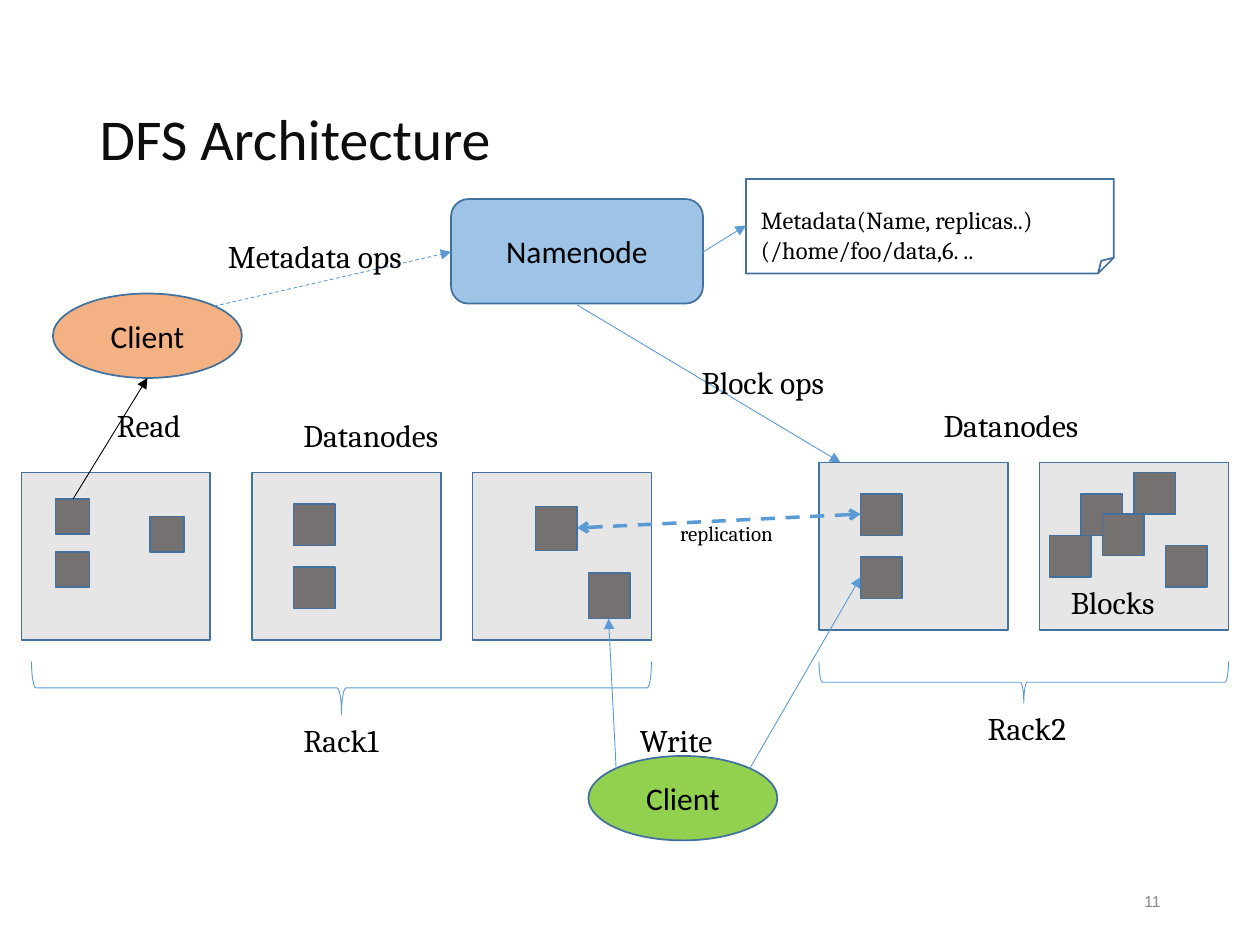
import pptx
import pptx.dml.color
import pptx.enum.dml
import pptx.enum.shapes
import pptx.enum.text
import pptx.oxml
import pptx.oxml.ns
import pptx.util
from pptx.util import Inches

SHAPE = pptx.enum.shapes.MSO_SHAPE
ALIGN = pptx.enum.text.PP_ALIGN
ANCHOR = pptx.enum.text.MSO_ANCHOR
DASH = pptx.enum.dml.MSO_LINE.DASH
OUTLINE, BLUE, BLACK = "41719C", "5B9BD5", "000000"
NODE_FILL, BLOCK_FILL = "E7E6E6", "767171"

# Datanodes: left, top, width, then blocks as left, top, width, height
RACK1 = [
    (0.17, 3.75, 1.5, [(0.44, 3.96, 0.27, 0.28), (0.44, 4.38, 0.27, 0.28),
                       (1.19, 4.1, 0.27, 0.28)]),
    (2, 3.75, 1.5, [(2.33, 4, 0.33, 0.33), (2.33, 4.5, 0.33, 0.33)]),
    (3.75, 3.75, 1.42, [(4.25, 4.02, 0.33, 0.35), (4.67, 4.55, 0.33, 0.36)]),
]
RACK2 = [
    (6.5, 3.67, 1.5, [(6.83, 3.92, 0.33, 0.33), (6.83, 4.42, 0.33, 0.33)]),
    (8.25, 3.67, 1.5, [(x, y, 0.33, 0.33) for x, y in (
        (8.58, 3.92), (8.33, 4.25), (8.75, 4.08), (9.25, 4.33), (9, 3.75))]),
]
# Labels: text, left, top, width
LABELS = [
    ("Rack1", 2.31, 5.67, 0.91), ("Rack2", 7.74, 5.58, 0.91),
    ("Blocks", 8.4, 4.58, 0.96), ("Datanodes", 2.31, 3.25, 1.45),
    ("Datanodes", 7.39, 3.17, 1.45), ("Write", 4.98, 5.67, 0.88),
    ("Read", 0.83, 3.17, 0.79), ("Metadata ops", 1.71, 1.83, 1.79),
    ("Block ops", 5.47, 2.83, 1.33),
]


def rgb(value):
    return pptx.dml.color.RGBColor.from_string(value)


def write(tf, text, size=18, font="Cambria", color=BLACK, align=ALIGN.LEFT,
          anchor=ANCHOR.TOP, wrap=True, spacing=None):
    tf.word_wrap = wrap
    tf.vertical_anchor = anchor
    for i, line in enumerate(text.split("\n")):
        p = tf.add_paragraph() if i else tf.paragraphs[0]
        p.alignment = align
        if spacing:
            p.line_spacing = spacing
        r = p.add_run()
        r.text = line
        r.font.size = pptx.util.Pt(size)
        r.font.name = font
        r.font.color.rgb = rgb(color)


def add_label(s, text, x, y, w, h=0.4, size=18):
    tf = s.shapes.add_textbox(*map(Inches, (x, y, w, h))).text_frame
    write(tf, text, size=size, wrap=False)
    tf.auto_size = pptx.enum.text.MSO_AUTO_SIZE.SHAPE_TO_FIT_TEXT


def add_box(shapes, kind, x, y, w, h, fill=None, line=OUTLINE, weight=1, text=None):
    sp = shapes.add_shape(kind, *map(Inches, (x, y, w, h)))
    sp.shadow.inherit = False
    if fill:
        sp.fill.solid()
        sp.fill.fore_color.rgb = rgb(fill)
    else:
        sp.fill.background()
    sp.line.color.rgb = rgb(line)
    sp.line.width = pptx.util.Pt(weight)
    if text:
        write(sp.text_frame, text, font="Calibri", align=ALIGN.CENTER,
              anchor=ANCHOR.MIDDLE)
    return sp


def add_rack(s, nodes):
    group = s.shapes.add_group_shape()
    for x, y, w, blocks in nodes:
        add_box(group.shapes, SHAPE.RECTANGLE, x, y, w, 1.33, NODE_FILL)
        for block in blocks:
            add_box(group.shapes, SHAPE.RECTANGLE, *block, BLOCK_FILL)


def add_brace(s, x, y, w, h):
    # An upright brace around the same centre, turned to point down
    brace = add_box(s.shapes, SHAPE.RIGHT_BRACE, x + (w - h) / 2, y + (h - w) / 2,
                    h, w, line=BLUE, weight=0.5)
    brace.rotation = 90


def add_arrow(s, start, end, color=BLUE, weight=0.5, dash=None, head=None,
              tail="triangle"):
    line = s.shapes.add_connector(pptx.enum.shapes.MSO_CONNECTOR.STRAIGHT,
                                  *map(Inches, start + end))
    line.line.color.rgb = rgb(color)
    line.line.width = pptx.util.Pt(weight)
    if dash:
        line.line.dash_style = dash
    ln = line.line._get_or_add_ln()
    for tag, kind in (("a:headEnd", head), ("a:tailEnd", tail)):
        if kind:
            end_mark = pptx.oxml.parse_xml(
                f'<{tag} {pptx.oxml.ns.nsdecls("a")} type="{kind}"/>')
            ln.append(end_mark)
    line._element.spPr.append(pptx.oxml.parse_xml(
        f'<a:effectLst {pptx.oxml.ns.nsdecls("a")}/>'))


def add_title(s, text):
    title = s.shapes.title
    title.left, title.top, title.width, title.height = map(
        Inches, (0.69, 0.4, 8.63, 1.45))
    write(title.text_frame, text, size=33, font="Calibri", color="0D0D0D",
          anchor=ANCHOR.MIDDLE, spacing=0.9)


def main():
    prs = pptx.Presentation()
    prs.slide_width, prs.slide_height = Inches(10), Inches(7.5)
    s = prs.slides.add_slide(prs.slide_layouts[5])

    # Title and page number
    add_title(s, "DFS Architecture")
    number = s.shapes.add_textbox(*map(Inches, (7.06, 6.95, 2.25, 0.4)))
    write(number.text_frame, "11", size=9, font="Arial", color="898989",
          align=ALIGN.RIGHT, anchor=ANCHOR.MIDDLE)

    # Namenode, racks and clients
    add_box(s.shapes, SHAPE.ROUNDED_RECTANGLE, 3.58, 1.58, 2, 0.83, "9DC3E6",
            text="Namenode")
    add_rack(s, RACK1)
    add_rack(s, RACK2)
    add_brace(s, 0.25, 5.25, 4.92, 0.42)
    add_brace(s, 6.5, 5.25, 3.25, 0.33)
    add_box(s.shapes, SHAPE.OVAL, 4.67, 6, 1.5, 0.67, "92D050", text="Client")
    add_box(s.shapes, SHAPE.OVAL, 0.42, 2.33, 1.5, 0.67, "F4B183", text="Client")

    # Metadata note
    add_box(s.shapes, SHAPE.FOLDED_CORNER, 5.92, 1.42, 2.92, 0.75)
    add_label(s, "Metadata(Name, replicas..)\n(/home/foo/data,6. ..",
              5.94, 1.58, 2.68, 0.57, size=14)

    # Replication between racks
    add_arrow(s, (4.58, 4.19), (6.83, 4.08), weight=2, dash=DASH,
              head="arrow", tail="arrow")
    add_label(s, "replication", 5.3, 4.08, 1.06, 0.3, size=12)

    # Read, write, metadata and block operations
    add_arrow(s, (0.58, 3.96), (1.17, 3), color=BLACK)
    add_arrow(s, (4.89, 6.1), (4.83, 4.91))
    add_arrow(s, (5.95, 6.1), (6.83, 4.58))
    add_arrow(s, (1.7, 2.43), (3.58, 2), dash=DASH)
    add_arrow(s, (5.58, 2), (5.92, 1.79))
    add_arrow(s, (4.58, 2.42), (6.67, 3.67))
    for label in LABELS:
        add_label(s, *label)

    prs.save("out.pptx")


if __name__ == "__main__":
    main()
